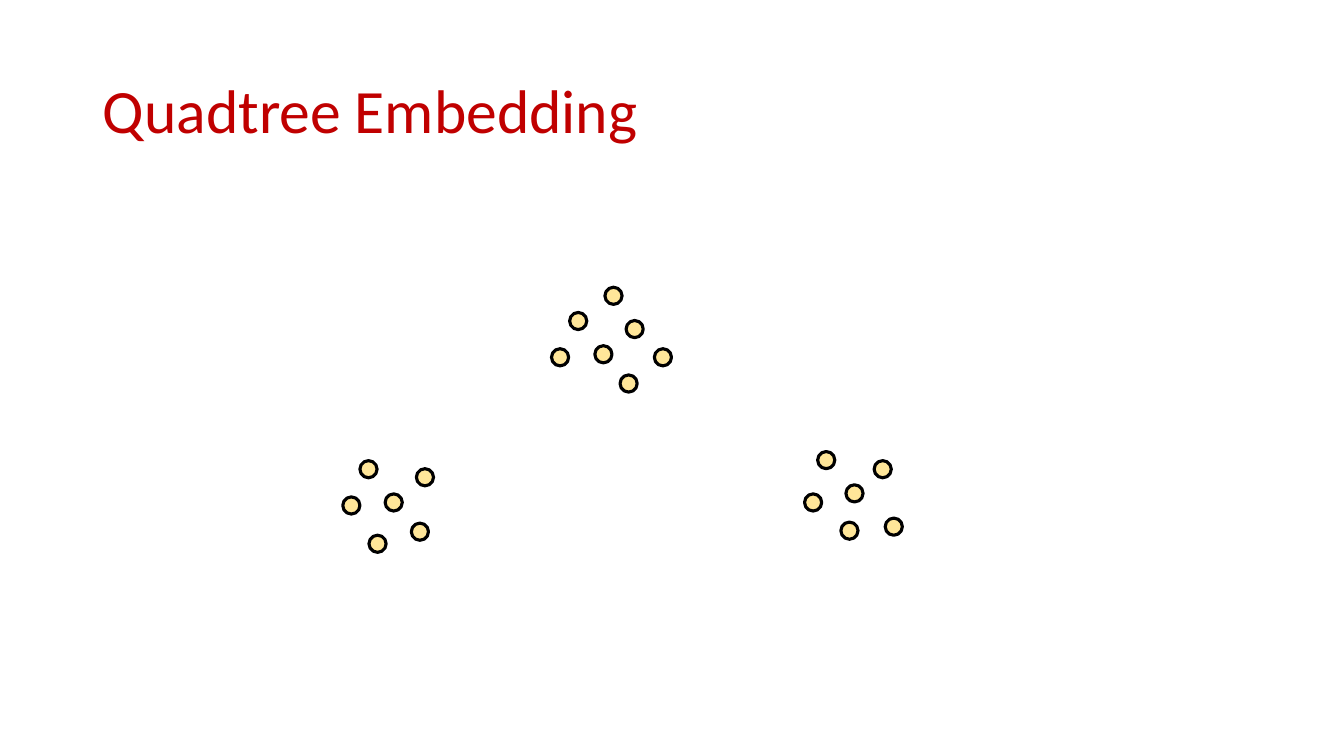
"""Build the Quadtree Embedding slide with three clusters of points."""
from dataclasses import dataclass

from lxml import etree
from pptx import Presentation
from pptx.dml.color import RGBColor
from pptx.enum.shapes import MSO_SHAPE
from pptx.enum.text import MSO_ANCHOR, PP_ALIGN
from pptx.slide import Slide
from pptx.util import Inches, Pt

ELLIPSE = MSO_SHAPE.OVAL
MIDDLE = MSO_ANCHOR.MIDDLE
LEFT = PP_ALIGN.LEFT
TITLE_ONLY = 5


@dataclass(frozen=True)
class Theme:
    """Colours, type and sizes shared by the slide."""

    title_color: RGBColor = RGBColor(0xC0, 0x00, 0x00)
    point_fill: RGBColor = RGBColor(0xFF, 0xE6, 0x99)
    point_line: RGBColor = RGBColor(0x00, 0x00, 0x00)
    font: str = "Calibri"
    title_size: float = 44
    line_width: float = 2.25
    point_size: float = 0.17


@dataclass(frozen=True)
class Cluster:
    """A named group of points given by their left and top in inches."""

    name: str
    points: tuple[tuple[float, float], ...]


THEME = Theme()
CLUSTERS = (
    Cluster("Left", ((3.4, 4.93), (3.66, 5.31), (4.13, 4.65),
                     (3.82, 4.9), (4.08, 5.19), (3.57, 4.57))),
    Cluster("Right", ((7.98, 4.9), (8.67, 4.57), (8.11, 4.48),
                      (8.34, 5.18), (8.78, 5.14), (8.39, 4.81))),
    Cluster("Top", ((5.47, 3.46), (6.49, 3.46), (6.21, 3.18), (5.9, 3.43),
                    (6.15, 3.72), (5.65, 3.1), (6.0, 2.85))),
)


def set_values(target: object, values: dict[str, object]) -> None:
    """Set each named attribute on the target."""
    for name, value in values.items():
        setattr(target, name, value)


def write_title(page: Slide, text: str) -> None:
    """Place and format the title placeholder."""
    box = page.shapes.title
    set_values(box, {"left": Inches(0.92), "top": Inches(0.4),
                     "width": Inches(11.5), "height": Inches(1.45)})
    frame = box.text_frame
    set_values(frame, {"text": text, "vertical_anchor": MIDDLE, "word_wrap": True})
    para = frame.paragraphs[0]
    set_values(para, {"alignment": LEFT, "line_spacing": 0.9})
    span = para.runs[0]
    set_values(span.font, {"name": THEME.font, "size": Pt(THEME.title_size)})
    span.font.color.rgb = THEME.title_color


def draw_cluster(page: Slide, cluster: Cluster) -> None:
    """Draw every point of a cluster as a small outlined circle."""
    size = Inches(THEME.point_size)
    for number, (left, top) in enumerate(cluster.points, start=1):
        point = page.shapes.add_shape(ELLIPSE, Inches(left), Inches(top), size, size)
        point.name = f"{cluster.name} point {number}"
        point.shadow.inherit = False
        point.fill.solid()
        point.fill.fore_color.rgb = THEME.point_fill
        point.line.color.rgb = THEME.point_line
        point.line.width = Pt(THEME.line_width)


def main() -> None:
    """Build and save the deck."""
    deck = Presentation()
    set_values(deck, {"slide_width": Inches(13.33), "slide_height": Inches(7.5)})
    page = deck.slides.add_slide(deck.slide_layouts[TITLE_ONLY])
    write_title(page, "Quadtree Embedding")
    for cluster in CLUSTERS:
        draw_cluster(page, cluster)
    deck.save("out.pptx")


if __name__ == "__main__":
    main()
